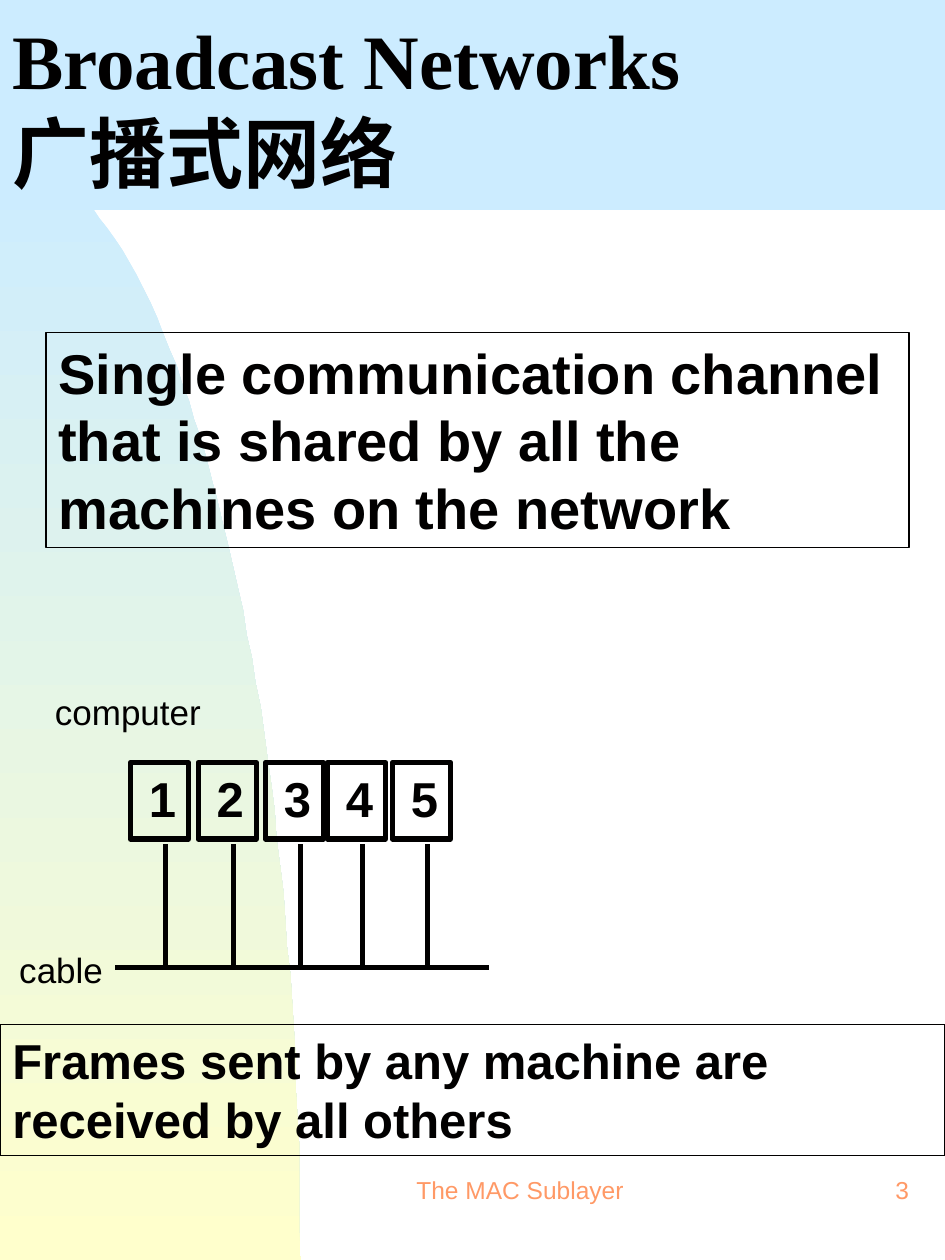
import math

from lxml import etree
from pptx import Presentation
from pptx.dml.color import RGBColor
from pptx.enum import shapes, text
from pptx.oxml.ns import qn
from pptx.util import Pt

INK = RGBColor(0x01, 0x00, 0x00)
SKY = RGBColor(0xCC, 0xEC, 0xFF)
CREAM = RGBColor(0xFF, 0xFF, 0xCC)
ORANGE = RGBColor(0xFF, 0x99, 0x66)
LEFT, CENTER, RIGHT = text.PP_ALIGN.LEFT, text.PP_ALIGN.CENTER, text.PP_ALIGN.RIGHT
TOP, MIDDLE = text.MSO_ANCHOR.TOP, text.MSO_ANCHOR.MIDDLE

prs = Presentation()
prs.slide_width, prs.slide_height = Pt(540), Pt(720)
slide = prs.slides.add_slide(prs.slide_layouts[6])


def add_box(box, lines, size, align=LEFT, anchor=TOP, color=INK, bold=False,
            wrap=True, border=None, fill=None, font="Arial"):
    """Add a text rectangle; box is left, top, width, height in points."""
    shape = slide.shapes.add_shape(shapes.MSO_SHAPE.RECTANGLE, *map(Pt, box))
    shape.shadow.inherit = False
    if fill is None:
        shape.fill.background()
    else:
        shape.fill.solid()
        shape.fill.fore_color.rgb = fill
    if border is None:
        shape.line.fill.background()
    else:
        shape.line.color.rgb = INK
        shape.line.width = Pt(border)
    frame = shape.text_frame
    frame.word_wrap = wrap
    frame.vertical_anchor = anchor
    paragraph = frame.paragraphs[0]
    paragraph.alignment = align
    for index, line in enumerate(lines):
        if index:
            paragraph.add_line_break()
        run = paragraph.add_run()
        run.text = line
        run.font.name = font
        run.font.size = Pt(size)
        run.font.bold = bold
        run.font.color.rgb = color


def add_wire(x1, y1, x2, y2):
    wire = slide.shapes.add_connector(
        shapes.MSO_CONNECTOR.STRAIGHT, Pt(x1), Pt(y1), Pt(x2), Pt(y2))
    wire.line.color.rgb = INK
    wire.line.width = Pt(3)
    etree.SubElement(wire._element.spPr, qn("a:effectLst"))


# Background: a quarter ellipse down the left side
ARC_TOP, ARC_WIDTH, ARC_HEIGHT, STEPS = 88.5, 171.5, 632, 60
angles = [math.pi / 2 * step / STEPS for step in range(STEPS + 1)]
arc = [(ARC_WIDTH * math.sin(a), ARC_TOP + ARC_HEIGHT * (1 - math.cos(a)))
       for a in angles]
builder = slide.shapes.build_freeform(0, ARC_TOP, scale=Pt(1))
builder.add_line_segments(arc[1:] + [(0, ARC_TOP + ARC_HEIGHT)], close=True)
backdrop = builder.convert_to_shape()
backdrop.shadow.inherit = False
backdrop.line.fill.background()
backdrop.fill.gradient()
backdrop.fill.gradient_angle = 270
for stop, color in zip(backdrop.fill.gradient_stops, (SKY, CREAM)):
    stop.color.rgb = color

# Footer
add_box((211.5, 656, 171.5, 48), ["The MAC Sublayer"], 14, CENTER, MIDDLE,
        ORANGE, wrap=False)
add_box((414, 656, 112.5, 48), ["3"], 14, RIGHT, MIDDLE, ORANGE, wrap=False)

# Title and definition
add_box((0, 0, 540, 120), ["Broadcast Networks", "广播式网络"], 44,
        anchor=MIDDLE, bold=True, fill=SKY, font="Times New Roman")
add_box((26.25, 190, 493.25, 122.75),
        ["Single communication channel that is shared by all the machines "
         "on the network"], 32, bold=True, border=0.75)

# Computers tapped onto the shared cable
CABLE_Y = 552.75
add_wire(65.75, CABLE_Y, 279.25, CABLE_Y)
computer_lefts = (74.4, 113.25, 151.65, 187.1, 224.25)
for number, left in enumerate(computer_lefts, start=1):
    tap_x = left + 20
    add_wire(tap_x, CABLE_Y, tap_x, 482.25)
    add_box((left, 435.75, 33.25, 43.75), [str(number)], 28, RIGHT,
            bold=True, wrap=False, border=3)
add_box((24.25, 391, 97.75, 31), ["computer"], 20, RIGHT, wrap=False)
add_box((3.5, 538.5, 62.5, 31), ["cable"], 20, RIGHT, wrap=False)

# Consequence
add_box((0, 585.25, 540, 75.25),
        ["Frames sent by any machine are received by all others"], 28,
        bold=True, border=0.75)

prs.save("out.pptx")
